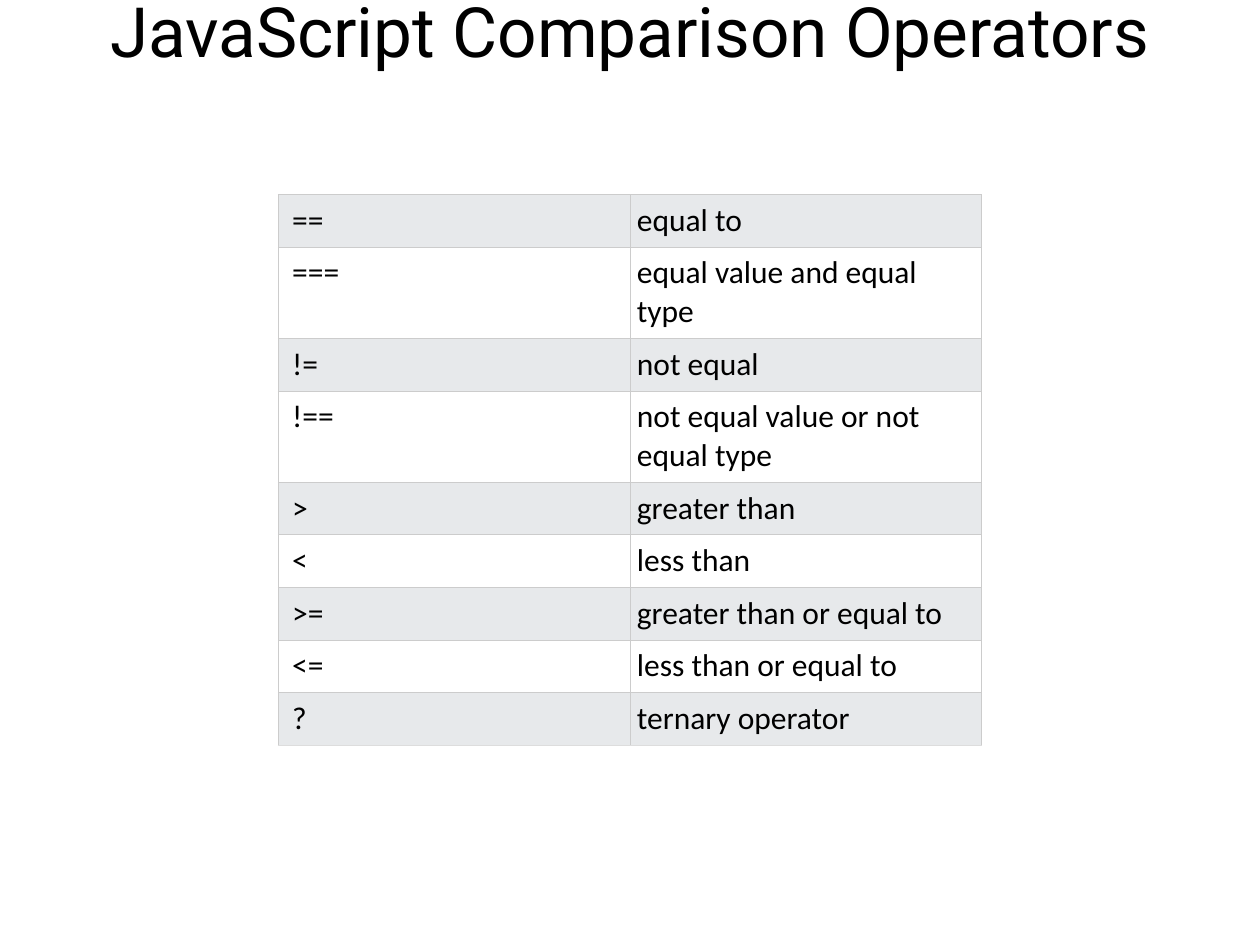
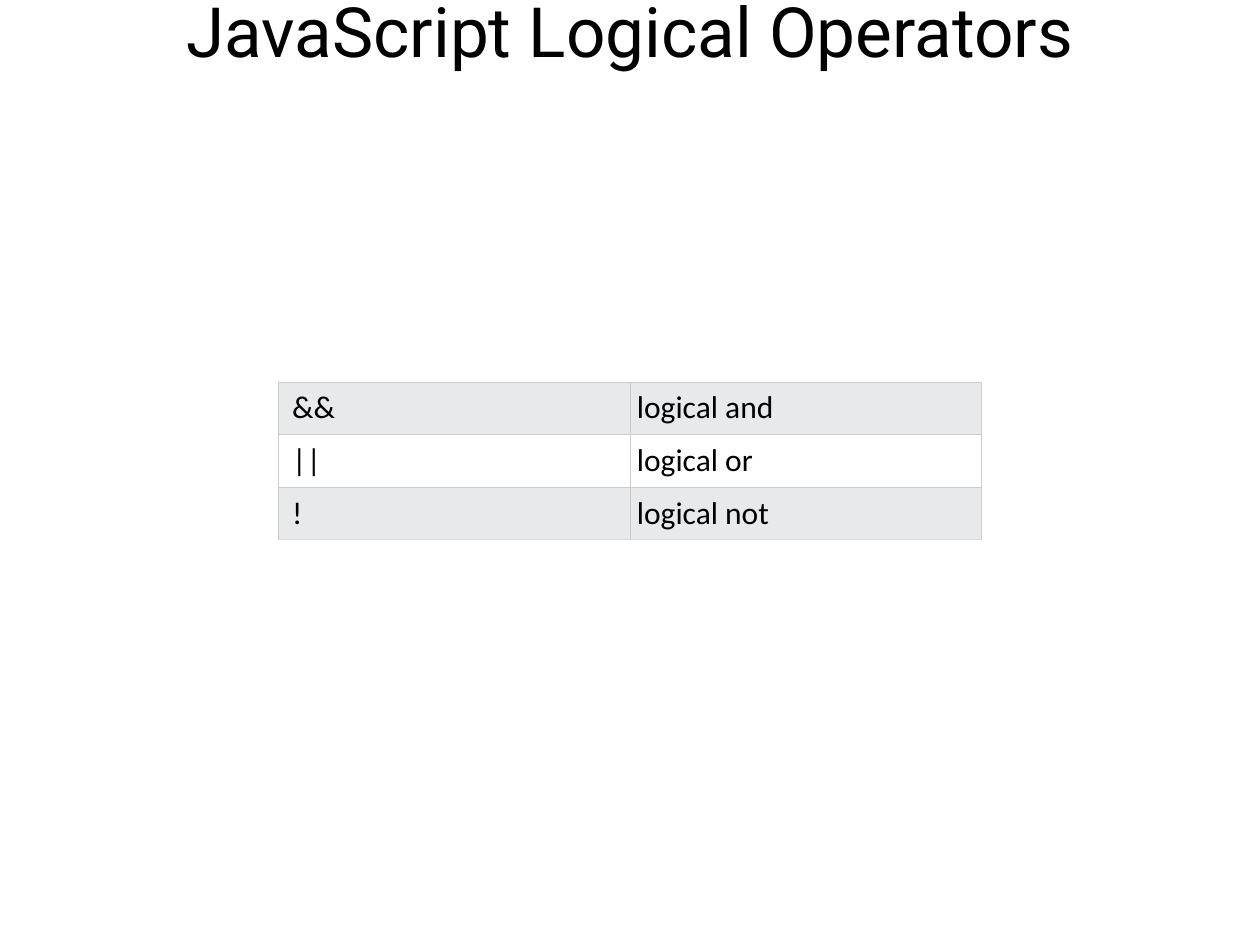
"""Build two slides that list JavaScript operators in banded tables."""
import lxml.etree
import pptx
import pptx.dml.color
import pptx.enum.text
import pptx.oxml.ns
import pptx.util

Cm = pptx.util.Cm
Pt = pptx.util.Pt

BLACK = "000000"
BANDS = ["E7E9EB", "FFFFFF"]
GRID_COLOUR = "CCCCCC"
BASE_COLOUR = "DDDDDD"
COLUMN_WIDTH = Cm(7.09)
ROW_HEIGHT = Cm(1.06)
TALL_ROW_HEIGHT = Cm(1.84)
LINE_CAPACITY = 24
CELL_INSET = Cm(0.14)

TABLES = [
    ("JavaScript Comparison Operators", Cm(3.92), [
        ("==", "equal to"),
        ("===", "equal value and equal type"),
        ("!=", "not equal"),
        ("!==", "not equal value or not equal type"),
        (">", "greater than"),
        ("<", "less than"),
        (">=", "greater than or equal to"),
        ("<=", "less than or equal to"),
        ("?", "ternary operator"),
    ]),
    ("JavaScript Logical Operators", Cm(7.7), [
        ("&&", "logical and"),
        ("||", "logical or"),
        ("!", "logical not"),
    ]),
]


def paint(fill, colour):
    """Give a fill one solid colour."""
    fill.solid()
    fill.fore_color.rgb = pptx.dml.color.RGBColor.from_string(colour)


def add_borders(cell, bottom_colour):
    """Draw a thin line on all four sides of a table cell."""
    properties = cell._tc.get_or_add_tcPr()
    for side in ("lnL", "lnR", "lnT", "lnB"):
        colour = bottom_colour if side == "lnB" else GRID_COLOUR
        line = lxml.etree.SubElement(
            properties, pptx.oxml.ns.qn(f"a:{side}"), w=str(Pt(0.5)))
        solid = lxml.etree.SubElement(line, pptx.oxml.ns.qn("a:solidFill"))
        lxml.etree.SubElement(solid, pptx.oxml.ns.qn("a:srgbClr"), val=colour)


deck = pptx.Presentation()
deck.slide_width = Cm(25.4)
deck.slide_height = Cm(19.05)

for heading, table_top, operators in TABLES:
    page = deck.slides.add_slide(deck.slide_layouts[5])
    paint(page.background.fill, "FFFFFF")

    title = page.shapes.title
    title.left, title.top = Cm(1.27), Cm(0)
    title.width, title.height = Cm(22.86), Cm(1.2)
    frame = title.text_frame
    frame.text = heading
    frame.auto_size = pptx.enum.text.MSO_AUTO_SIZE.NONE
    frame.vertical_anchor = pptx.enum.text.MSO_ANCHOR.MIDDLE
    frame.margin_top = frame.margin_bottom = Cm(0)
    para = frame.paragraphs[0]
    para.alignment = pptx.enum.text.PP_ALIGN.CENTER
    para.font.name = "Roboto"
    para.font.size = Pt(39.6)
    paint(para.font.fill, BLACK)

    table = page.shapes.add_table(
        len(operators), 2, Cm(5.61), table_top,
        2 * COLUMN_WIDTH, len(operators) * ROW_HEIGHT).table
    table.first_row = False
    table.horz_banding = False

    for row_index, texts in enumerate(operators):
        wraps = len(texts[1]) > LINE_CAPACITY
        table.rows[row_index].height = TALL_ROW_HEIGHT if wraps else ROW_HEIGHT
        is_last = row_index == len(operators) - 1
        for column_index, text in enumerate(texts):
            cell = table.cell(row_index, column_index)
            cell.text = text
            cell.margin_left = Cm(0.28) if column_index == 0 else CELL_INSET
            cell.margin_right = CELL_INSET
            cell.margin_top = cell.margin_bottom = CELL_INSET
            add_borders(cell, BASE_COLOUR if is_last else GRID_COLOUR)
            paint(cell.fill, BANDS[row_index % 2])
            para = cell.text_frame.paragraphs[0]
            para.font.name = "Calibri"
            para.font.size = Pt(18)
            paint(para.font.fill, BLACK)

deck.save("out.pptx")
